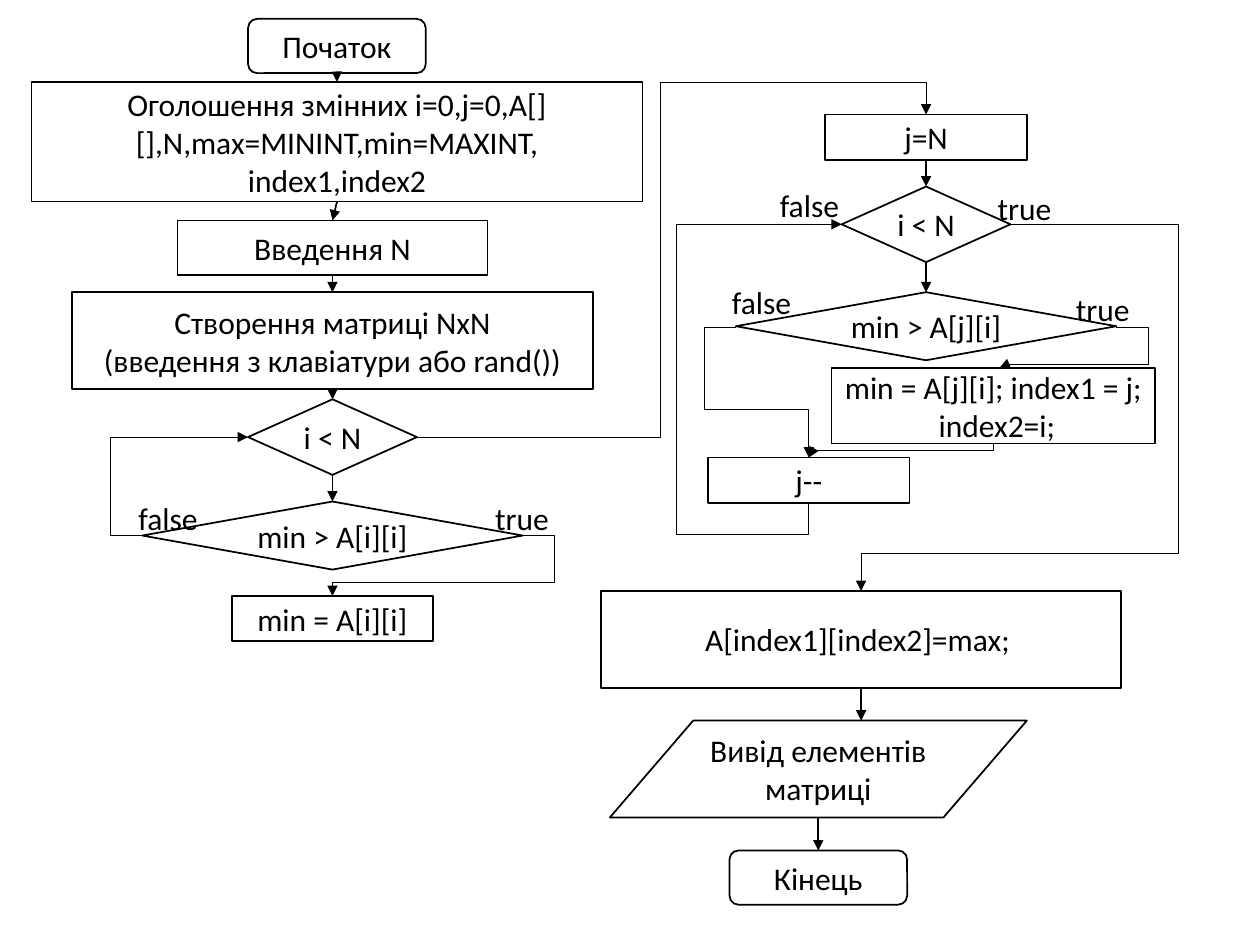
import pptx
import pptx.util
import pptx.dml.color
import pptx.enum.shapes
import pptx.enum.text
import pptx.oxml
import pptx.oxml.ns

Pt = pptx.util.Pt
RGB = pptx.dml.color.RGBColor.from_string
KIND = pptx.enum.shapes.MSO_SHAPE
LINK = pptx.enum.shapes.MSO_CONNECTOR
TEXT = pptx.enum.text
COLORS = {"ink": "000000", "paper": "FFFFFF"}

deck = pptx.Presentation()
deck.slide_width, deck.slide_height = Pt(720), Pt(540)
slide = deck.slides.add_slide(deck.slide_layouts[6])


def write(frame, text, align):
    frame.word_wrap = True
    frame.text = text
    for para in frame.paragraphs:
        para.alignment = align
        para.font.name = "Calibri"
        para.font.size = Pt(18)
        para.font.color.rgb = RGB(COLORS["ink"])


def arrow(start, end, style, width):
    link = slide.shapes.add_connector(style, *[Pt(v) for v in (*start, *end)])
    link.line.color.rgb = RGB(COLORS["ink"])
    link.line.width = Pt(width)
    tail = pptx.oxml.ns.qn("a:tailEnd")
    link.line._get_or_add_ln().makeelement(tail)
    pptx_line = link.line._get_or_add_ln()
    pptx_line.append(pptx_line.makeelement(tail, {"type": "triangle"}))
    props = link._element.spPr
    props.append(props.makeelement(pptx.oxml.ns.qn("a:effectLst")))
    return link


# Flowchart blocks: kind, centre x, top, width, height, text
ROUND, STEP = KIND.ROUNDED_RECTANGLE, KIND.FLOWCHART_PROCESS
TEST, DATA = KIND.FLOWCHART_DECISION, KIND.FLOWCHART_DATA
LEFT, RIGHT = 190, 529.2
blocks = {
    "start": (ROUND, 192.5, 10.8, 101.5, 31, "Початок"),
    "vars": (STEP, 192.6, 46.8, 349.2, 68.4,
             "Оголошення змінних i=0,j=0,A[][],N,max=MININT,min=MAXINT,\n"
             "index1,index2"),
    "input": (STEP, LEFT, 126, 177.1, 31, "Введення N"),
    "matrix": (STEP, LEFT, 167, 297.4, 55.4,
               "Створення матриці NxN\n(введення з клавіатури або rand())"),
    "loop i": (TEST, LEFT, 228.2, 96.5, 43.2, "i < N"),
    "test i": (TEST, LEFT, 286.6, 217.4, 38.9, "min > A[i][i]"),
    "set i": (STEP, LEFT, 340.6, 115.2, 25.9, "min = A[i][i]"),
    "init j": (STEP, RIGHT, 65.5, 115.2, 25.9, "j=N"),
    "loop j": (TEST, RIGHT, 106.6, 96.5, 43.2, "i < N"),
    "test j": (TEST, RIGHT, 167, 217.4, 38.9, "min > A[j][i]"),
    "set j": (STEP, 567.7, 210.2, 185, 43.2,
              "min = A[j][i]; index1 = j;  index2=i;"),
    "next j": (STEP, 462.2, 261.4, 115.2, 25.9, "j--"),
    "assign": (STEP, 492.1, 337.7, 297.4, 55.4, "A[index1][index2]=max; "),
    "output": (DATA, 467.6, 411.8, 238.3, 55.4, "Вивід елементів матриці"),
    "end": (ROUND, 467.6, 486, 101.5, 31, "Кінець"),
}
for kind, mid, top, wide, high, text in blocks.values():
    block = slide.shapes.add_shape(
        kind, Pt(mid - wide / 2), Pt(top), Pt(wide), Pt(high))
    block.shadow.inherit = False
    block.fill.solid()
    block.fill.fore_color.rgb = RGB(COLORS["paper"])
    block.line.color.rgb = RGB(COLORS["ink"])
    block.line.width = Pt(1)
    block.text_frame.vertical_anchor = TEXT.MSO_ANCHOR.MIDDLE
    write(block.text_frame, text, TEXT.PP_ALIGN.CENTER)

# Straight arrows from the foot of one block to the top of the next
for above, below in [
    ("start", "vars"), ("vars", "input"), ("input", "matrix"),
    ("matrix", "loop i"), ("loop i", "test i"), ("init j", "loop j"),
    ("loop j", "test j"), ("assign", "output"), ("output", "end"),
]:
    _, mid, top, _, high, _ = blocks[above]
    goal = mid if below == "output" else blocks[below][1]
    arrow((mid, top + high), (goal, blocks[below][2]), LINK.STRAIGHT, 1)

# Bent arrows: every corner from start to end
routes = [
    [(298.7, 306), (316.8, 306), (316.8, 332.8), (LEFT, 332.8), (LEFT, 340.6)],
    [(81.3, 306), (63.4, 306), (63.4, 249.8), (141.8, 249.8)],
    [(238.3, 249.8), (377.3, 249.8), (377.3, 46.8), (RIGHT, 46.8),
     (RIGHT, 65.5)],
    [(637.9, 187), (656.6, 187), (656.6, 208.4), (571.2, 208.4),
     (571.2, 210.2)],
    [(420.5, 187), (402.5, 187), (402.5, 234), (462.2, 234), (462.2, 261.4)],
    [(567.7, 253.8), (567.7, 257.6), (462.2, 257.6), (462.2, 261.4)],
    [(462.2, 287.3), (462.2, 305.3), (386.6, 305.3), (386.6, 128.2),
     (481, 128.2)],
    [(577.5, 128.2), (673.2, 128.2), (673.2, 316.1), (492.1, 316.1),
     (492.1, 337.7)],
]
for route in routes:
    start, first, second, end = route[0], route[1], route[2], route[-1]
    link = arrow(start, end, LINK.ELBOW, 0.5)
    main = 0 if first[1] == start[1] else 1
    span = [end[0] - start[0], end[1] - start[1]]
    bends = [(first[main] - start[main]) / span[main]]
    if len(route) == 5:
        side = 1 - main
        corner = route[2]
        bends.append((corner[side] - start[side]) / span[side])
    # A route that leaves downwards is turned by a quarter
    if main == 1:
        wide, high = abs(span[1]), abs(span[0])
        link.left = Pt((start[0] + end[0] - wide) / 2)
        link.top = Pt((start[1] + end[1] - high) / 2)
        link.width, link.height = Pt(wide), Pt(high)
        frame = link._element.spPr.find(pptx.oxml.ns.qn("a:xfrm"))
        frame.set("rot", "5400000")
        frame.set("flipH", str(int(span[1] < 0)))
        frame.set("flipV", str(int(span[0] > 0)))
    shape = link._element.spPr.find(pptx.oxml.ns.qn("a:prstGeom"))
    shape.set("prst", f"bentConnector{len(route) - 1}")
    guides = shape.find(pptx.oxml.ns.qn("a:avLst"))
    for num, bend in enumerate(bends, 1):
        guides.append(guides.makeelement(pptx.oxml.ns.qn("a:gd"), {
            "name": f"adj{num}", "fmla": f"val {round(bend * 100000)}"}))

# Branch labels
for text, left, top in [
    ("false", 72, 281.5), ("true", 275.8, 281.5),
    ("false", 438.5, 103), ("true", 563, 104.4),
    ("false", 411.1, 158.4), ("true", 607.7, 162),
]:
    label = slide.shapes.add_textbox(Pt(left), Pt(top), Pt(51.1), Pt(51.1))
    write(label.text_frame, text, TEXT.PP_ALIGN.LEFT)
    label.text_frame.auto_size = TEXT.MSO_AUTO_SIZE.SHAPE_TO_FIT_TEXT

deck.save("out.pptx")
